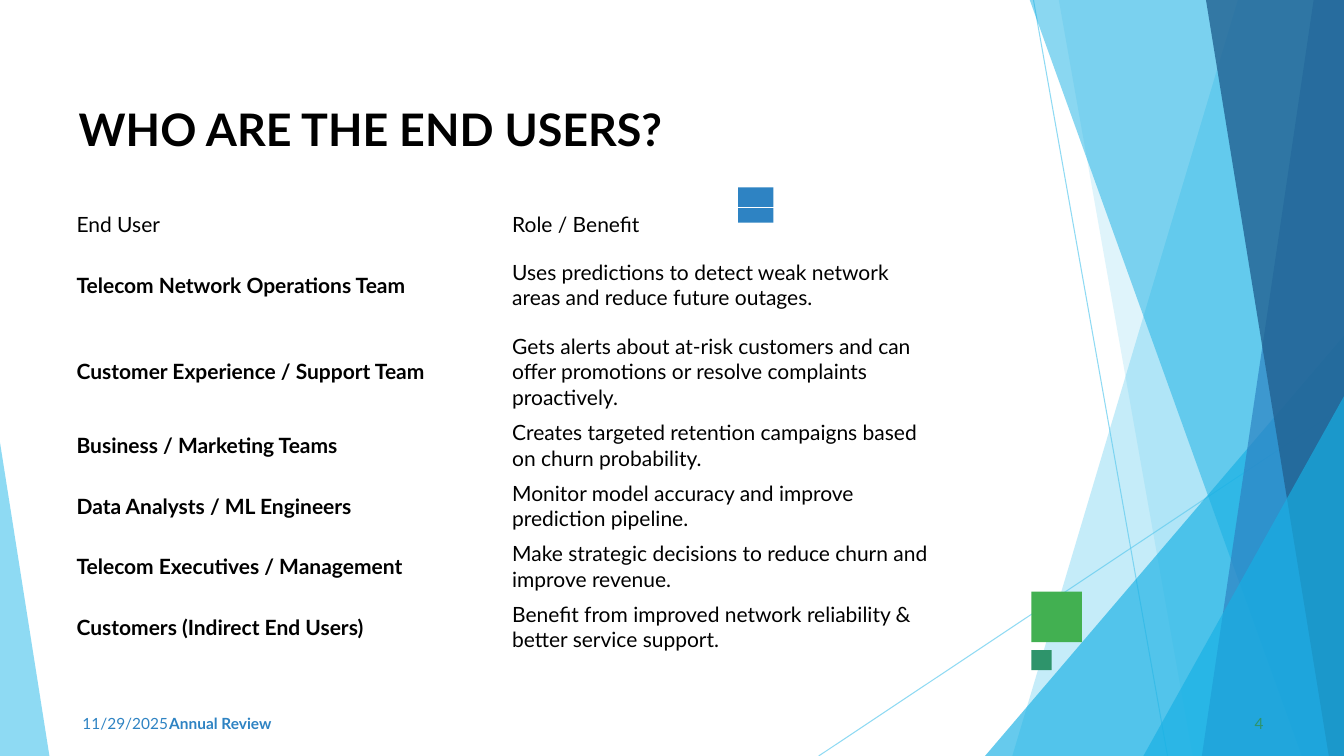
from lxml import etree
from pptx import Presentation
from pptx.dml.color import RGBColor
from pptx.enum.shapes import MSO_CONNECTOR, MSO_SHAPE
from pptx.enum.text import MSO_ANCHOR, PP_ALIGN
from pptx.oxml.ns import qn
from pptx.util import Inches, Pt

LINE = MSO_CONNECTOR.STRAIGHT
RECT = MSO_SHAPE.RECTANGLE
TRIANGLE = MSO_SHAPE.ISOSCELES_TRIANGLE
TOP, MIDDLE = MSO_ANCHOR.TOP, MSO_ANCHOR.MIDDLE
LEFT, RIGHT = PP_ALIGN.LEFT, PP_ALIGN.RIGHT

WIDTH, HEIGHT = 13.33, 7.5
SKY, CYAN, BLUE, NAVY = "5FCBEF", "17B0E4", "2E83C3", "226292"
GREEN, TEAL, BLACK = "42B051", "2E946B", "000000"

USERS = [
    ("End User", "Role / Benefit"),
    ("Telecom Network Operations Team",
     "Uses predictions to detect weak network areas and reduce future outages."),
    ("Customer Experience / Support Team",
     "Gets alerts about at-risk customers and can offer promotions or resolve "
     "complaints proactively."),
    ("Business / Marketing Teams",
     "Creates targeted retention campaigns based on churn probability."),
    ("Data Analysts / ML Engineers",
     "Monitor model accuracy and improve prediction pipeline."),
    ("Telecom Executives / Management",
     "Make strategic decisions to reduce churn and improve revenue."),
    ("Customers (Indirect End Users)",
     "Benefit from improved network reliability & better service support."),
]
ROWS = [0.34] + [0.86] * 2 + [0.6] * 4


def assign(target, values):
    for name, value in values.items():
        setattr(target, name, value)


def paint(fill, color, alpha=100):
    """Fill with a solid colour at alpha percent opacity."""
    fill.solid()
    fill.fore_color.rgb = RGBColor.from_string(color)
    if alpha < 100:
        for node in fill._xPr.iter(qn("a:srgbClr")):
            etree.SubElement(node, qn("a:alpha"), val=str(alpha * 1000))


def finish(shape, color, alpha):
    paint(shape.fill, color, alpha)
    shape.line.fill.background()
    shape.shadow.inherit = False


def add_line(slide, start, end):
    line = slide.shapes.add_connector(LINE, *map(Inches, start + end))
    line.line.width = Pt(0.75)
    paint(line.line.fill, SKY, 70)
    etree.SubElement(line._element.spPr, qn("a:effectLst"))


def add_band(slide, top, bottom, color, alpha):
    """Draw a band from a slanted left side to the right slide edge."""
    points = [(top, -0.01), (WIDTH, -0.01), (WIDTH, HEIGHT), (bottom, HEIGHT)]
    corners = [(Inches(x), Inches(y)) for x, y in points]
    path = slide.shapes.build_freeform(*corners[0])
    path.add_line_segments(corners[1:], close=True)
    finish(path.convert_to_shape(), color, alpha)


def add_block(slide, kind, box, color, alpha=100, peak=None):
    shape = slide.shapes.add_shape(kind, *map(Inches, box))
    if peak is not None:
        shape.adjustments[0] = peak
    finish(shape, color, alpha)


def add_wedge(slide, left, top, width, color, alpha, peak):
    """Draw a triangle that stands on the bottom slide edge."""
    box = (left, top, width, HEIGHT - top)
    add_block(slide, TRIANGLE, box, color, alpha, peak)


def write(frame, text, size, color=BLACK, bold=False, align=LEFT, anchor=MIDDLE):
    assign(frame, {"text": text, "word_wrap": True, "vertical_anchor": anchor})
    par = frame.paragraphs[0]
    par.alignment = align
    font = par.runs[0].font
    assign(font, {"name": "Lato", "size": Pt(size), "bold": bold})
    font.color.rgb = RGBColor.from_string(color)


def add_note(slide, left, width, text, color, **style):
    box = slide.shapes.add_textbox(*map(Inches, (left, 6.98, width, 0.4)))
    write(box.text_frame, text, 11, color, **style)


def add_title(slide, text):
    title = slide.shapes.title
    names = ("left", "top", "width", "height")
    assign(title, dict(zip(names, map(Inches, (0.68, 0.96, 10.99, 0.88)))))
    write(title.text_frame, text, 32, bold=True, anchor=TOP)


def add_users(slide):
    box = map(Inches, (0.68, 2.06, 8.64, sum(ROWS)))
    table = slide.shapes.add_table(len(USERS), 2, *box).table
    assign(table, {"first_row": False, "horz_banding": False})
    side, edge = Inches(0.08), Inches(0.04)
    format = {"margin_left": side, "margin_right": side,
              "margin_top": edge, "margin_bottom": edge,
              "vertical_anchor": MIDDLE}
    for r, (height, texts) in enumerate(zip(ROWS, USERS)):
        table.rows[r].height = Inches(height)
        for c, text in enumerate(texts):
            cell = table.cell(r, c)
            cell.fill.background()
            write(cell.text_frame, text, 15, bold=r > 0 and c == 0)
            assign(cell, format)


def add_decor(slide):
    add_line(slide, (10.25, 0), (11.58, HEIGHT))
    add_line(slide, (WIDTH, 4.03), (8.12, HEIGHT))
    add_band(slide, 12.28, 10.04, SKY, 36)
    add_band(slide, 10.5, 11.83, SKY, 20)
    add_wedge(slide, 9.77, 3.33, 3.56, CYAN, 66, 1)
    add_band(slide, 10.21, 12.91, CYAN, 50)
    add_band(slide, 13.03, 11.92, BLUE, 70)
    add_band(slide, 11.96, 13.18, NAVY, 80)
    add_wedge(slide, 11.34, 3.93, 1.99, CYAN, 66, 1)
    add_wedge(slide, 0, 4.39, 0.49, SKY, 70, 0)


def main():
    deck = Presentation()
    assign(deck, {"slide_width": Inches(WIDTH), "slide_height": Inches(HEIGHT)})
    slide = deck.slides.add_slide(deck.slide_layouts[5])
    add_decor(slide)
    add_note(slide, 0.72, 3, "11/29/2025", BLUE)
    add_note(slide, 1.58, 4.5, "Annual Review", BLUE, bold=True)
    add_note(slide, 9.63, 3, "4", TEAL, align=RIGHT)
    for left, top, size, color in [(10.23, 5.87, 0.5, GREEN),
                                   (7.32, 1.86, 0.35, BLUE),
                                   (10.23, 6.45, 0.2, TEAL)]:
        add_block(slide, RECT, (left, top, size, size), color)
    add_title(slide, "WHO ARE THE END USERS?")
    add_users(slide)
    deck.save("out.pptx")


if __name__ == "__main__":
    main()
